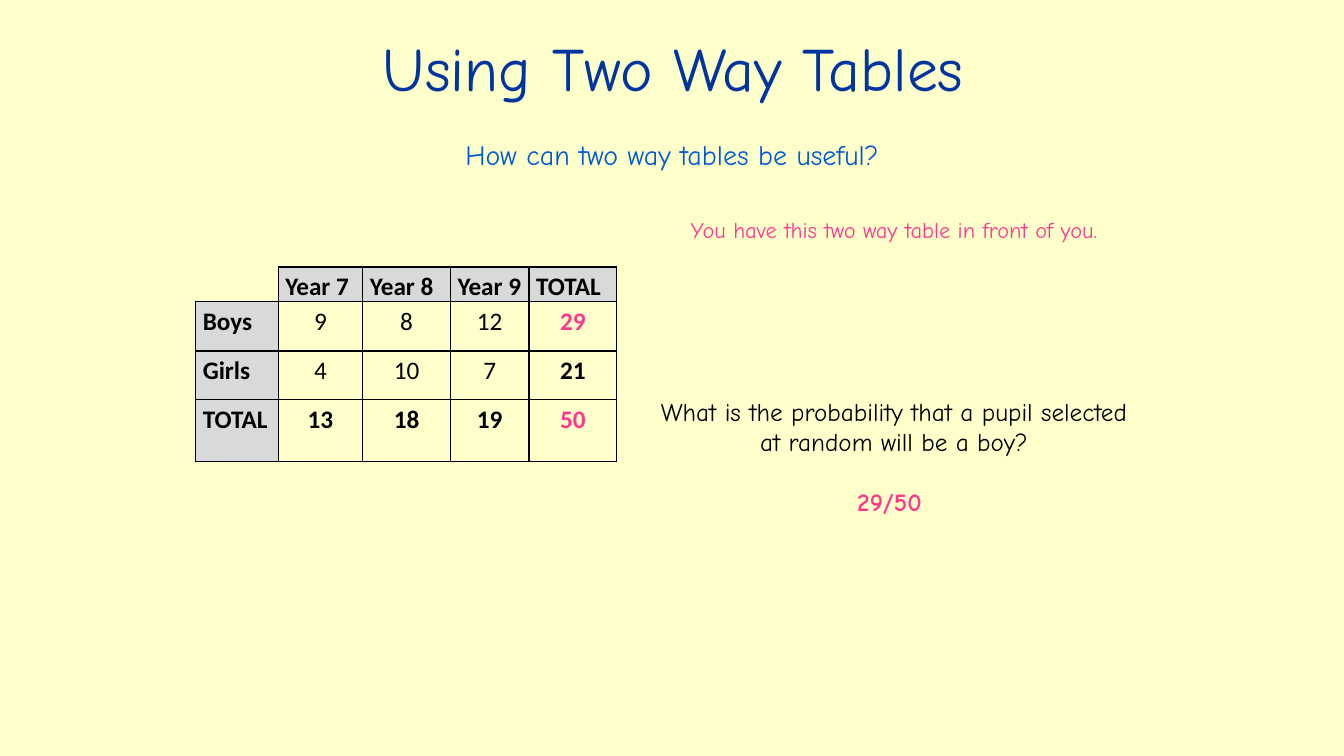
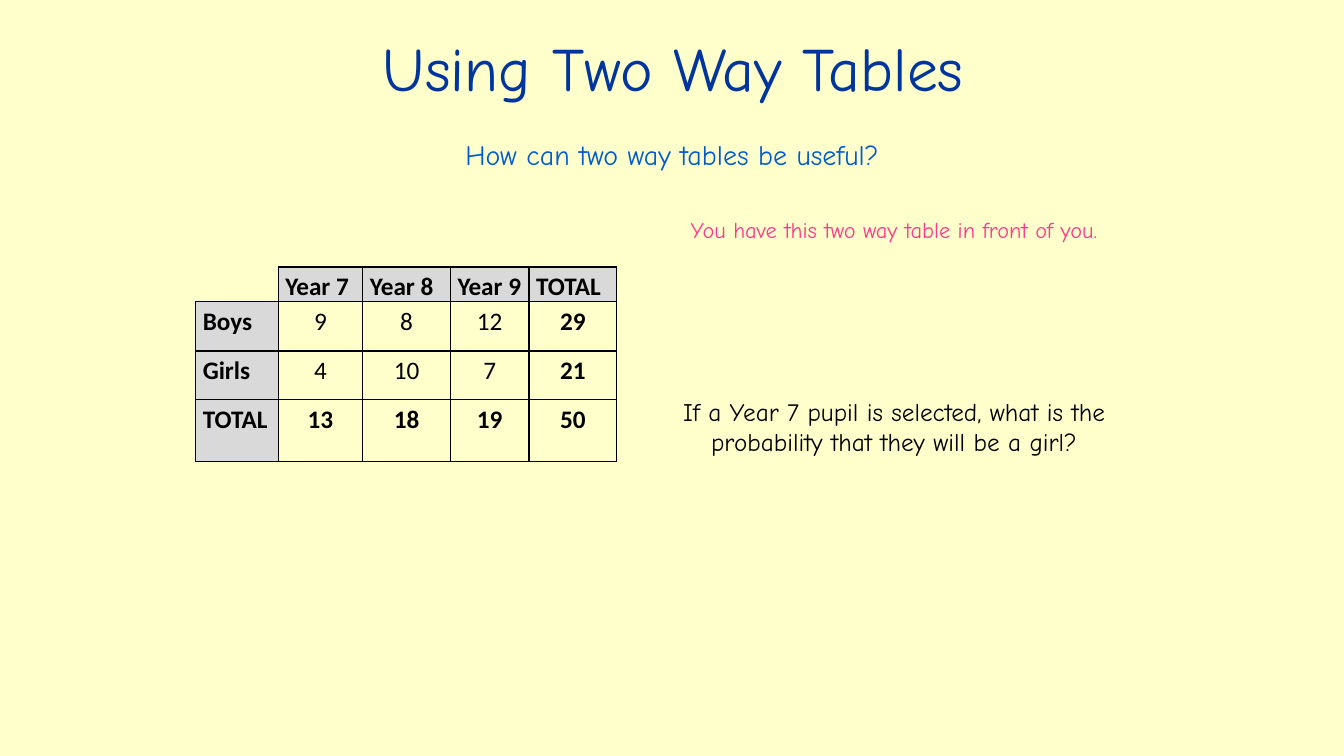
from pptx import Presentation
from pptx.dml.color import RGBColor
from pptx.enum.text import MSO_ANCHOR, MSO_AUTO_SIZE, PP_ALIGN
from pptx.oxml import parse_xml
from pptx.oxml.ns import nsdecls
from pptx.util import Cm, Pt

BACKGROUND = "FFFFCC"
TITLE_BLUE = "00349E"
SUBTITLE_BLUE = "005BD3"
PINK = "FF388C"
BLACK = "000000"
HEADER_GREY = "D9D9D9"
HEADING_FONT = "Comic Neue"
TABLE_FONT = "Calibri"

# Left, top, width and height in centimetres
TITLE_BOX = (5.54, 0.53, 22.86, 3.18)
BODY_BOX = (5.51, 3.33, 22.86, 15.19)
TABLE_BOX = (4.93, 6.73, 10.61, 4.79)
QUESTION_BOX = (16.13, 5.33, 12.8, 12.47)

COLUMN_WIDTHS = (2.08, 2.13, 2.21, 1.98, 2.21)
ROW_HEIGHTS = (0.76, 1.24, 1.22, 1.57)
PUPILS = (
    ("", "Year 7", "Year 8", "Year 9", "TOTAL"),
    ("Boys", "9", "8", "12", "29"),
    ("Girls", "4", "10", "7", "21"),
    ("TOTAL", "13", "18", "19", "50"),
)

QUESTIONS = (
    {
        "question": "What is the probability that a pupil selected at random will be a boy?",
        "answer": "29/50 ",
        "highlighted": ("29", "50"),
    },
    {"question": "If a Year 7 pupil is selected, what is the probability that they will be a girl?"},
)


def color(hex_string):
    return RGBColor.from_string(hex_string)


def write(paragraph, text, size=18, font=HEADING_FONT, fill=BLACK, bold=False,
          align=PP_ALIGN.CENTER, before=0, line_spacing=None):
    paragraph.alignment = align
    paragraph.space_before = Pt(before)
    if line_spacing:
        paragraph.line_spacing = line_spacing
    run = paragraph.add_run()
    run.text = text
    run.font.size = Pt(size)
    run.font.name = font
    run.font.bold = bold
    run.font.color.rgb = color(fill)


def place(shape, box):
    shape.left, shape.top, shape.width, shape.height = map(Cm, box)


def fill_placeholder(shape, box, text, **text_format):
    place(shape, box)
    frame = shape.text_frame
    frame.vertical_anchor = MSO_ANCHOR.TOP
    frame.auto_size = MSO_AUTO_SIZE.NONE
    frame.word_wrap = True
    paragraph = frame.paragraphs[0]
    properties = paragraph._p.get_or_add_pPr()
    properties.set("marL", "0")
    properties.set("indent", "0")
    properties.append(parse_xml(f"<a:buNone {nsdecls('a')}/>"))
    write(paragraph, text, **text_format)


def add_headings(slide):
    title, body = slide.shapes.title, slide.placeholders[1]
    fill_placeholder(title, TITLE_BOX, "Using Two Way Tables", size=44, fill=TITLE_BLUE)
    title.text_frame.margin_top = Cm(0.23)
    fill_placeholder(body, BODY_BOX, "How can two way tables be useful?",
                     size=20, fill=SUBTITLE_BLUE)


def set_borders(cell, visible):
    """Draw the named sides (L, R, T, B) in black and clear the others."""
    properties = cell._tc.get_or_add_tcPr()
    for side in "LRTB":
        line = (f'<a:solidFill><a:srgbClr val="{BLACK}"/></a:solidFill>'
                if side in visible else "<a:noFill/>")
        properties.append(parse_xml(
            f'<a:ln{side} {nsdecls("a")} w="{Pt(1)}">{line}</a:ln{side}>'))


def add_pupil_table(slide, box, highlighted):
    table = slide.shapes.add_table(len(PUPILS), len(PUPILS[0]), *map(Cm, box)).table
    table.first_row = table.horz_banding = False
    for column, width in zip(table.columns, COLUMN_WIDTHS):
        column.width = Cm(width)
    for row, height in zip(table.rows, ROW_HEIGHTS):
        row.height = Cm(height)

    for row_index, values in enumerate(PUPILS):
        for column_index, value in enumerate(values):
            cell = table.cell(row_index, column_index)
            cell.margin_left = cell.margin_right = Cm(0.18)
            cell.margin_top = cell.margin_bottom = 0
            set_borders(cell, "LRTB" if value else "RB")
            header = row_index == 0 or column_index == 0
            if header and value:
                cell.fill.solid()
                cell.fill.fore_color.rgb = color(HEADER_GREY)
            else:
                cell.fill.background()
            if value:
                total = "TOTAL" in (PUPILS[row_index][0], PUPILS[0][column_index])
                write(cell.text_frame.paragraphs[0], value, font=TABLE_FONT,
                      fill=PINK if value in highlighted else BLACK,
                      bold=header or total, line_spacing=1.15,
                      align=PP_ALIGN.LEFT if header else PP_ALIGN.CENTER)


def add_question(slide, box, question, answer):
    frame = slide.shapes.add_textbox(*map(Cm, box)).text_frame
    frame.word_wrap = True
    write(frame.paragraphs[0], "You have this two way table in front of you.",
          size=16, fill=PINK)
    write(frame.add_paragraph(), question, before=109)
    if answer:
        write(frame.add_paragraph(), answer, fill=PINK, bold=True, before=21.5)


def add_question_slide(presentation, question, answer=None, highlighted=()):
    slide = presentation.slides.add_slide(presentation.slide_layouts[1])
    add_headings(slide)
    add_question(slide, QUESTION_BOX, question, answer)
    add_pupil_table(slide, TABLE_BOX, highlighted)


def main():
    presentation = Presentation()
    presentation.slide_width, presentation.slide_height = Cm(33.87), Cm(19.05)
    background = presentation.slide_master.background.fill
    background.solid()
    background.fore_color.rgb = color(BACKGROUND)
    for content in QUESTIONS:
        add_question_slide(presentation, **content)
    presentation.save("out.pptx")


if __name__ == "__main__":
    main()
